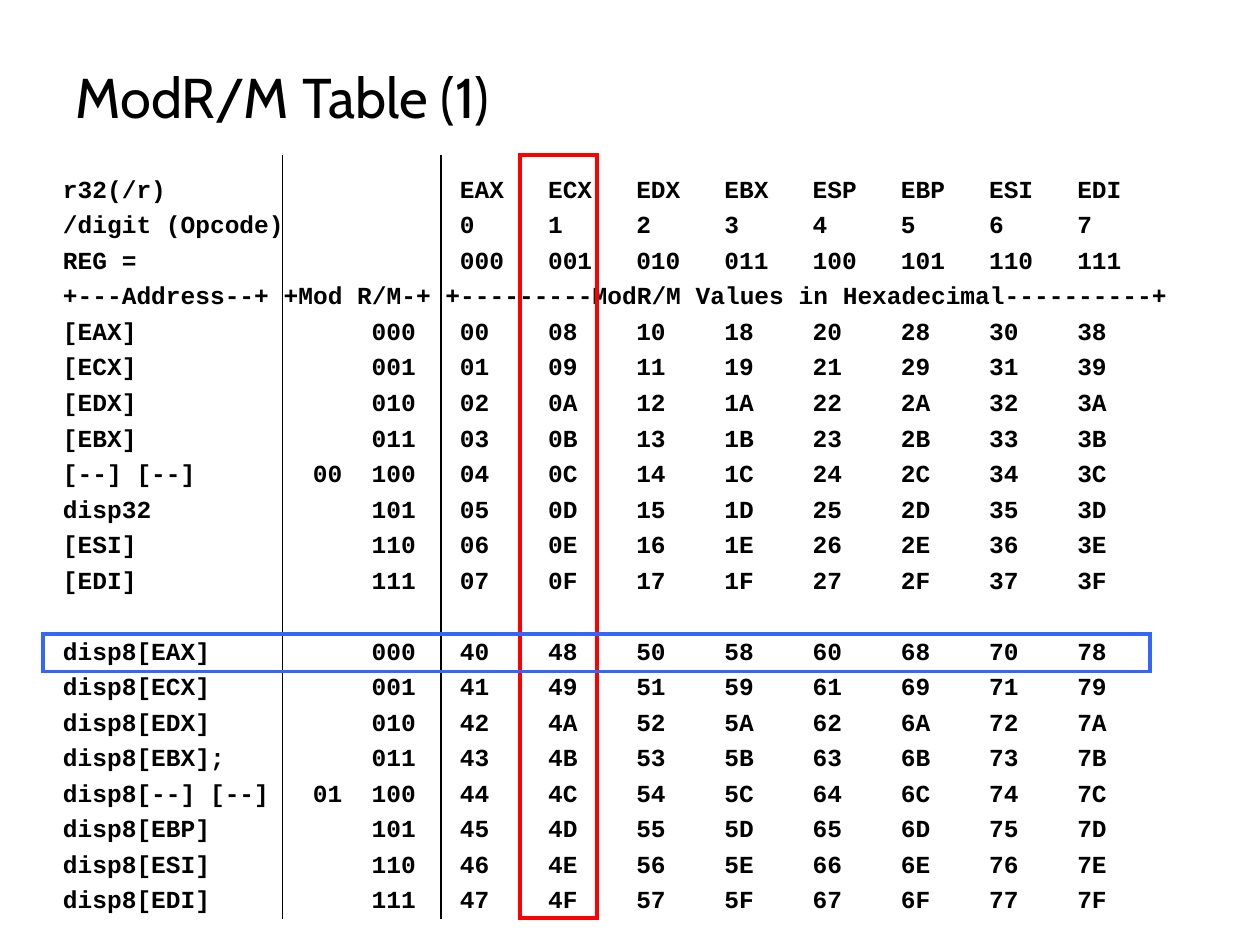
from pptx import Presentation
from pptx.dml.color import RGBColor
from pptx.enum.shapes import MSO_CONNECTOR as Connector, MSO_SHAPE as Shape
from pptx.enum.text import MSO_ANCHOR as Anchor
from pptx.oxml.ns import qn
from pptx.util import Inches, Pt
from lxml.etree import SubElement

BLACK = RGBColor(0x00, 0x00, 0x00)
RED = RGBColor(0xFF, 0x00, 0x00)
BLUE = RGBColor(0x33, 0x66, 0xFF)

CHAR_WIDTH = 14 * 0.6 / 72
COLUMNS = [17, 21] + [27 + 6 * reg for reg in range(8)]
LINE_HEIGHT = 16.8
ROW_GAP = 3.5

TITLE_FONT = {"name": "Cabin", "size": Pt(32), "bold": False}
TABLE_FONT = {"name": "Courier New", "size": Pt(14), "bold": True}

REGISTERS = ["EAX", "ECX", "EDX", "EBX", "ESP", "EBP", "ESI", "EDI"]
ADDRESSES = ["[EAX]", "[ECX]", "[EDX]", "[EBX]", "[--] [--]", "disp32", "[ESI]", "[EDI]"]
DISP8_ADDRESSES = ["disp8[EAX]", "disp8[ECX]", "disp8[EDX]", "disp8[EBX];",
                   "disp8[--] [--]", "disp8[EBP]", "disp8[ESI]", "disp8[EDI]"]
RULER = "+---Address--+ +Mod R/M-+ +---------ModR/M Values in Hexadecimal----------+"


def add_text_frame(slide, box, margins):
    frame = slide.shapes.add_textbox(*map(Inches, box)).text_frame
    frame.word_wrap = True
    frame.margin_left = frame.margin_right = Inches(margins[0])
    frame.margin_top = frame.margin_bottom = Inches(margins[1])
    return frame


def add_run(paragraph, text, font_values):
    run = paragraph.add_run()
    run.text = text
    for key, value in font_values.items():
        setattr(run.font, key, value)
    run.font.color.rgb = BLACK


def add_title(slide, box):
    frame = add_text_frame(slide, box, (0.1, 0.05))
    frame.vertical_anchor = Anchor.MIDDLE
    add_run(frame.paragraphs[0], "ModR/M Table (1)", TITLE_FONT)


def address_rows(mod, addresses):
    return [
        [address, f"{mod:02b}" if rm == 4 else "", f"{rm:03b}"]
        + [f"{mod * 64 + reg * 8 + rm:02X}" for reg in range(8)]
        for rm, address in enumerate(addresses)
    ]


def set_tab_stops(paragraph):
    tab_list = SubElement(paragraph._p.get_or_add_pPr(), qn("a:tabLst"))
    for column in COLUMNS:
        SubElement(tab_list, qn("a:tab"), pos=str(Inches(column * CHAR_WIDTH)), algn="l")


def add_opcode_table(slide, box):
    header = [
        ["r32(/r)", "", ""] + REGISTERS,
        ["/digit (Opcode)", "", ""] + [str(reg) for reg in range(8)],
        ["REG =", "", ""] + [f"{reg:03b}" for reg in range(8)],
        [RULER],
    ]
    direct = header + address_rows(0, ADDRESSES)
    frame = add_text_frame(slide, box, (0, 0))
    for index, row in enumerate(direct + address_rows(1, DISP8_ADDRESSES)):
        paragraph = frame.add_paragraph() if index else frame.paragraphs[0]
        group_gap = LINE_HEIGHT + ROW_GAP if index == len(direct) else 0
        paragraph.space_before = Pt(ROW_GAP + group_gap if index else 0)
        paragraph.line_spacing = Pt(LINE_HEIGHT)
        set_tab_stops(paragraph)
        add_run(paragraph, "\t".join(row), TABLE_FONT)


def add_dividers(slide, top, bottom, positions):
    for x in positions:
        divider = slide.shapes.add_connector(
            Connector.STRAIGHT, Inches(x), Inches(top), Inches(x), Inches(bottom))
        divider.line.color.rgb = BLACK
        divider.line.width = Pt(0.74)
        SubElement(divider._element.spPr, qn("a:effectLst"))


def add_highlight(slide, box, color):
    highlight = slide.shapes.add_shape(Shape.RECTANGLE, *map(Inches, box))
    highlight.shadow.inherit = False
    highlight.fill.background()
    highlight.line.color.rgb = color
    highlight.line.width = Pt(2.24)
    SubElement(highlight.line._get_or_add_ln(), qn("a:miter"), lim="800000")


presentation = Presentation()
presentation.slide_width = Inches(10)
presentation.slide_height = Inches(7.5)
slide = presentation.slides.add_slide(presentation.slide_layouts[6])

add_title(slide, (0.5, 0.3, 9, 0.93))
add_opcode_table(slide, (0.5, 1.38, 9, 5.92))
add_dividers(slide, 1.23, 7.29, (2.24, 3.5))
add_highlight(slide, (4.13, 1.23, 0.61, 6.06), RED)
add_highlight(slide, (0.34, 5.03, 8.79, 0.3), BLUE)

presentation.save("out.pptx")
